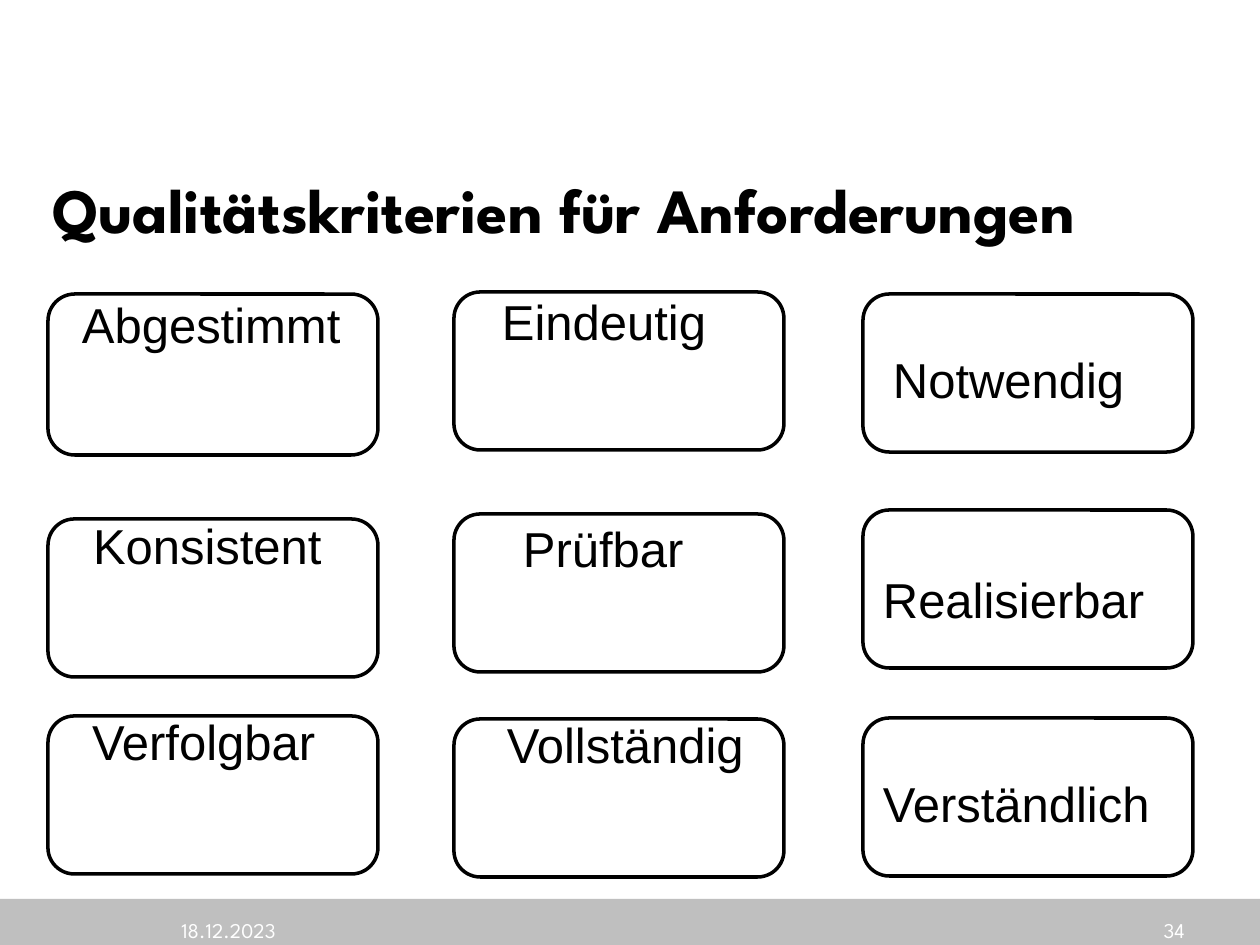
from pptx import Presentation
from pptx.dml.color import RGBColor
from pptx.enum.shapes import MSO_SHAPE
from pptx.enum.text import MSO_ANCHOR, PP_ALIGN
from pptx.util import Emu, Inches, Pt

SCALE = Inches(1) // 126
BLACK = RGBColor(0x00, 0x00, 0x00)
WHITE = RGBColor(0xFF, 0xFF, 0xFF)
GRAY = RGBColor(0xBF, 0xBF, 0xBF)
SANS = "Arial"
HEAD = "League Spartan"

WIDE, HIGH = 330, 158
COLS = (48, 454, 863)
# Per column: card top, card height, word, then the word's left, top and width in the card
CARDS = (
    ((294, 161, "Abgestimmt", 34, 7, 286),
     (519, HIGH, "Konsistent", 45, 3, 233),
     (716, HIGH, "Verfolgbar", 44, 2, 233)),
    ((292, HIGH, "Eindeutig", 48, 6, 233),
     (514, HIGH, "Prüfbar", 69, 11, 233),
     (719, HIGH, "Vollständig", 53, 2, 255)),
    ((294, HIGH, "Notwendig", 30, 1, 233),
     (510, HIGH, "Realisierbar", 20, 5, 289),
     (718, HIGH, "Verständlich", 20, 1, 289)),
)


def px(*nums):
    return [Emu(num * SCALE) for num in nums]


def add_text(slide, box, text, font, size, color, bold=False,
             align=PP_ALIGN.LEFT, anchor=MSO_ANCHOR.MIDDLE):
    frame = slide.shapes.add_textbox(*px(*box)).text_frame
    frame.word_wrap = True
    frame.vertical_anchor = anchor
    para = frame.paragraphs[0]
    para.alignment = align
    run = para.add_run()
    run.text = text
    run.font.name = font
    run.font.size = Pt(size)
    run.font.bold = bold
    run.font.color.rgb = color
    return frame


def add_card(slide, box, word, dx, dy, width, anchor):
    """Outlined card with its word set at an offset from the corner."""
    left, top, _, _ = box
    card = slide.shapes.add_shape(MSO_SHAPE.ROUNDED_RECTANGLE, *px(*box))
    card.shadow.inherit = False
    card.fill.background()
    card.line.color.rgb = BLACK
    card.line.width = Pt(2)
    frame = add_text(slide, (left + dx, top + dy, width, 175), word,
                     SANS, 28, BLACK, anchor=anchor)
    frame.margin_left = frame.margin_right = 0
    frame.margin_top = frame.margin_bottom = 0
    para = frame.paragraphs[0]
    para.line_spacing = 0.9
    if anchor == MSO_ANCHOR.TOP:
        para.space_before = Pt(10)


def add_grid(slide):
    anchors = (MSO_ANCHOR.TOP, MSO_ANCHOR.TOP, MSO_ANCHOR.MIDDLE)
    for left, cards, anchor in zip(COLS, CARDS, anchors):
        for top, high, word, dx, dy, width in cards:
            add_card(slide, (left, top, WIDE, high), word, dx, dy, width, anchor)


def add_footer(slide, box):
    left, top, _, _ = box
    bar = slide.shapes.add_shape(MSO_SHAPE.RECTANGLE, *px(*box))
    bar.shadow.inherit = False
    bar.fill.solid()
    bar.fill.fore_color.rgb = GRAY
    bar.line.fill.background()
    for dx, text, align in ((169, "18.12.2023", PP_ALIGN.LEFT),
                            (1009, "34", PP_ALIGN.RIGHT)):
        add_text(slide, (left + dx, top + 13, 188, 37), text,
                 HEAD, 12, WHITE, align=align)


def main():
    deck = Presentation()
    deck.slide_width, deck.slide_height = px(1260, 945)
    slide = deck.slides.add_slide(deck.slide_layouts[6])
    add_footer(slide, (0, 899, 1260, 46))
    add_text(slide, (40, 150, 1157, 116), "Qualitätskriterien für Anforderungen",
             HEAD, 36, BLACK, bold=True)
    add_grid(slide)
    deck.save("out.pptx")


if __name__ == "__main__":
    main()
